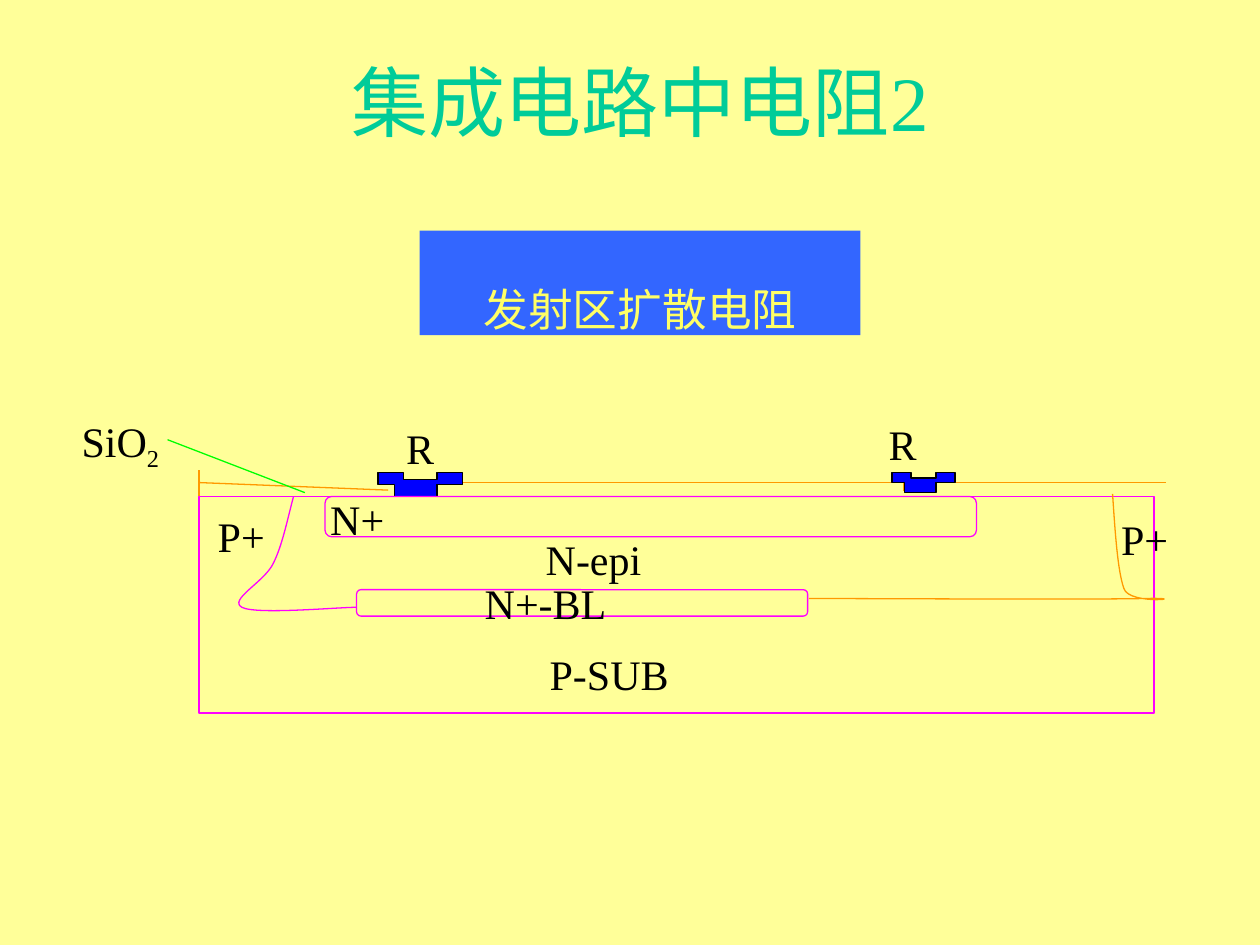
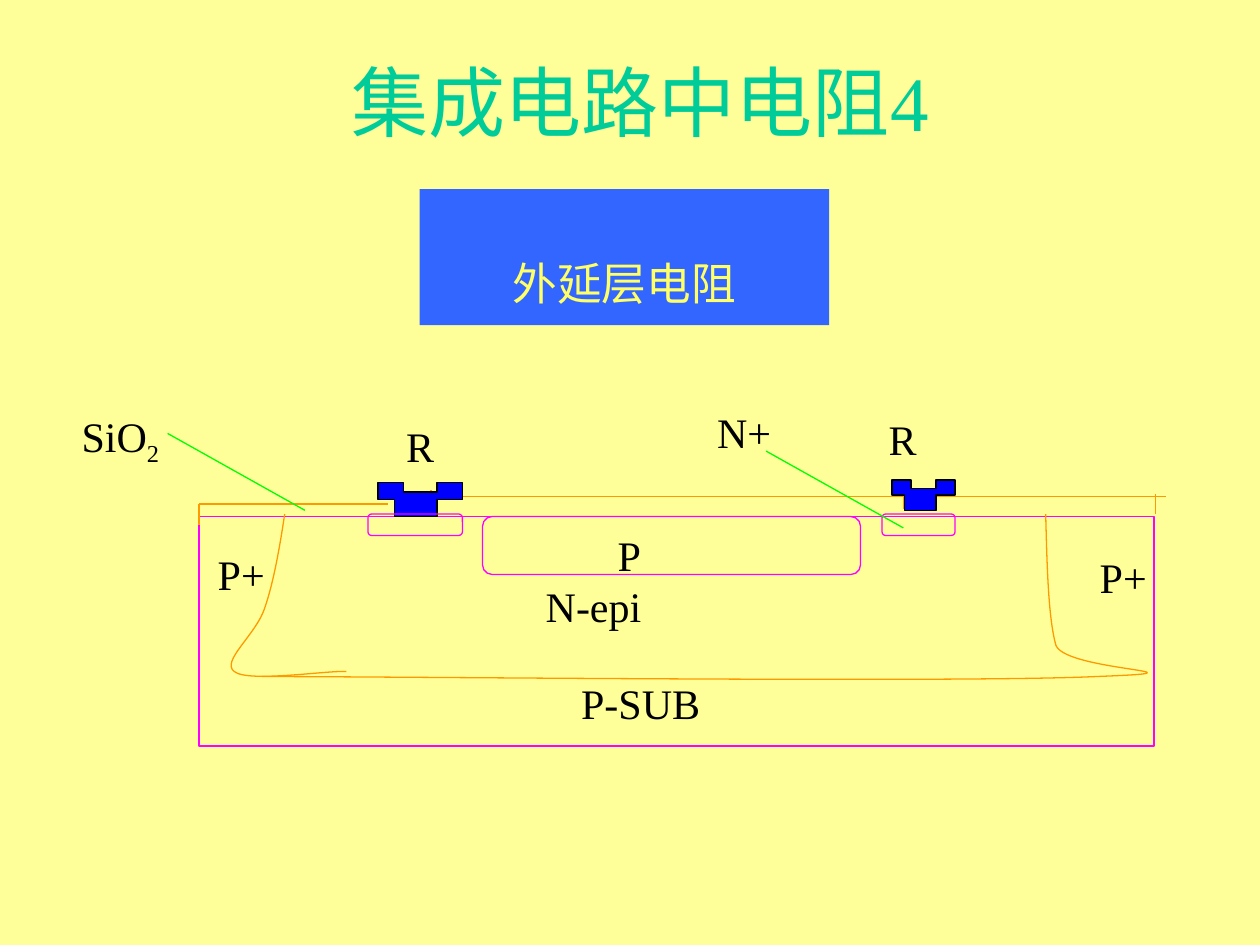
from dataclasses import dataclass

from lxml.etree import SubElement
from pptx import Presentation
from pptx.dml.color import RGBColor as RGB
from pptx.enum.shapes import MSO_CONNECTOR as Connector, MSO_SHAPE as Shape
from pptx.enum.text import MSO_ANCHOR as Anchor, PP_ALIGN as Align
from pptx.oxml.ns import qn
from pptx.util import Inches, Pt


@dataclass(frozen=True)
class Theme:
    font: str = "Times New Roman"
    heading_size: int = 44
    label_size: int = 24
    line_width: float = 0.75
    label_margin: float = 0.05
    background: RGB = RGB(0xFF, 0xFF, 0x99)
    title: RGB = RGB(0x00, 0xCC, 0x99)
    banner: RGB = RGB(0x33, 0x66, 0xFF)
    banner_text: RGB = RGB(0xFF, 0xFF, 0x66)
    label: RGB = RGB(0, 0, 0)
    silicon: RGB = RGB(0xFF, 0x00, 0xFF)
    oxide: RGB = RGB(0xFF, 0x99, 0x00)
    metal: RGB = RGB(0x00, 0x00, 0xFF)
    pointer: RGB = RGB(0x00, 0xFF, 0x00)


THEME = Theme()


@dataclass(frozen=True)
class Box:
    left: float
    top: float
    width: float
    height: float

    def inside(self, left, top, width, height):
        return Box(self.left + left, self.top + top, width, height)

    def widened(self, margin):
        return Box(self.left - margin, self.top, self.width + 2 * margin, self.height)

    def point(self, x, y):
        return Inches(self.left + x), Inches(self.top + y)

    def lengths(self):
        return [Inches(value) for value in (self.left, self.top, self.width, self.height)]


TITLE_BOX = Box(0.83, 0.17, 8.5, 1.25)


def style_line(shape, color):
    shape.line.color.rgb = color
    shape.line.width = Pt(THEME.line_width)


def add_run(paragraph, text, size, color, subscript=False):
    run = paragraph.add_run()
    run.text = text
    run.font.name = THEME.font
    run.font.size = Pt(size)
    run.font.color.rgb = color
    if subscript:
        run.font._element.set("baseline", "-25000")


def centred_paragraph(shape, wrap=False):
    frame = shape.text_frame
    frame.word_wrap = wrap
    frame.vertical_anchor = Anchor.MIDDLE
    paragraph = frame.paragraphs[0]
    paragraph.alignment = Align.CENTER
    return paragraph


def add_title(slide, box, text):
    title = slide.shapes.add_textbox(*box.lengths())
    add_run(centred_paragraph(title, wrap=True), text, THEME.heading_size, THEME.title)


def add_banner(slide, box, text):
    banner = slide.shapes.add_shape(Shape.RECTANGLE, *box.lengths())
    banner.shadow.inherit = False
    banner.fill.solid()
    banner.fill.fore_color.rgb = THEME.banner
    banner.line.fill.background()
    add_run(centred_paragraph(banner), text, THEME.heading_size, THEME.banner_text,
            subscript=True)


def add_label(slide, box, text):
    """Add a centred label; what follows an underscore is set as a subscript."""
    label = slide.shapes.add_textbox(*box.widened(THEME.label_margin).lengths())
    label.text_frame.margin_left = label.text_frame.margin_right = 0
    paragraph = centred_paragraph(label)
    base, _, subscript = text.partition("_")
    add_run(paragraph, base, THEME.label_size, THEME.label)
    if subscript:
        add_run(paragraph, subscript, THEME.label_size, THEME.label, subscript=True)


def add_region(slide, box, preset=Shape.ROUNDED_RECTANGLE):
    region = slide.shapes.add_shape(preset, *box.lengths())
    region.shadow.inherit = False
    region.fill.background()
    style_line(region, THEME.silicon)


def add_line(slide, box, start, end, color):
    line = slide.shapes.add_connector(Connector.STRAIGHT, *box.point(*start), *box.point(*end))
    style_line(line, color)
    SubElement(line._element.spPr, qn("a:effectLst"))


def add_outline(slide, box, points, color, close=False):
    start, *rest = [box.point(*point) for point in points]
    builder = slide.shapes.build_freeform(*start)
    builder.add_line_segments(rest, close=close)
    outline = builder.convert_to_shape()
    outline.shadow.inherit = False
    outline.fill.background()
    style_line(outline, color)
    return outline


def add_curve(slide, box, controls, color):
    """Add a chain of cubic curves by joining each three line segments into one curve."""
    outline = add_outline(slide, box, controls, color)
    segments = list(outline._element.iter(qn("a:lnTo")))
    for first in range(0, len(segments), 3):
        curve = SubElement(segments[first].getparent(), qn("a:cubicBezTo"))
        for segment in segments[first:first + 3]:
            curve.append(segment[0])
            segment.getparent().remove(segment)


def add_contact(slide, box):
    """Add a metal contact: a notched top bar on a narrower stem."""
    profile = [(0, 0.5), (0, 0), (0.3, 0), (0.3, 0.28), (0.7, 0.28), (0.7, 0), (1, 0),
               (1, 0.5), (0.7, 0.5), (0.7, 1), (0.2, 1), (0.2, 0.5)]
    points = [(x * box.width, y * box.height) for x, y in profile]
    contact = add_outline(slide, box, points, THEME.label, close=True)
    contact.fill.solid()
    contact.fill.fore_color.rgb = THEME.metal


@dataclass(frozen=True)
class Section:
    """A resistor cross-section; all places are relative to the chip's corner."""
    wells: list
    junctions: list
    oxide_level: float
    window_top: float
    right_window_bottom: float
    oxide_lines: list
    contacts: list
    pointers: list
    label_height: float
    labels: list


def add_oxide(slide, box, section):
    level, bottom = section.oxide_level, section.right_window_bottom
    windows = [((x, section.window_top), (x, 0)) for x in (1.59, 1.84)]
    windows += [((x, level), (x, bottom)) for x in (5.59, 5.84)]
    surface = [((left, level), (right, level)) for left, right in ((1.84, 5.59), (5.84, 7.67))]
    for start, end in windows + surface + section.oxide_lines:
        add_line(slide, box, start, end, THEME.oxide)


def add_section(slide, box, section):
    add_region(slide, box, Shape.RECTANGLE)
    add_oxide(slide, box, section)
    for contact in section.contacts:
        add_contact(slide, box.inside(*contact))
    for well in section.wells:
        add_region(slide, box.inside(*well))
    for color, controls in section.junctions:
        add_curve(slide, box, controls, color)
    for start, end in section.pointers:
        add_line(slide, box, start, end, THEME.pointer)
    for text, left, top, width in section.labels:
        add_label(slide, box.inside(left, top, width, section.label_height), text)


EMITTER_RESISTOR = Section(
    wells=[(1.25, 0.74, 3.58, 0.21), (1, 0, 5.17, 0.32)],
    junctions=[
        (THEME.silicon, [(0.75, 0), (0.7, 0.19), (0.66, 0.39), (0.59, 0.53), (0.52, 0.68),
                         (0.23, 0.82), (0.34, 0.88), (0.45, 0.94), (1.1, 0.88), (1.25, 0.88)]),
        (THEME.oxide, [(7.25, -0.02), (7.27, 0.28), (7.29, 0.59), (7.34, 0.73), (7.38, 0.87),
                       (7.92, 0.8), (7.5, 0.81), (7.09, 0.82), (5.28, 0.81), (4.84, 0.81)]),
    ],
    oxide_level=-0.11,
    window_top=-0.14,
    right_window_bottom=-0.04,
    oxide_lines=[((0, 0), (0, -0.21)), ((0, -0.11), (1.5, -0.05))],
    contacts=[(1.42, -0.19, 0.67, 0.19), (5.5, -0.19, 0.5, 0.16)],
    pointers=[((-0.25, -0.45), (0.84, -0.03))],
    label_height=0.21,
    labels=[("SiO_2", -1, -0.52, 0.75), ("R", 1.59, -0.49, 0.33), ("N+", 1.09, 0.07, 0.33),
            ("P+", 0.17, 0.21, 0.33), ("P-SUB", 2.42, 1.3, 1.67), ("R", 5.42, -0.52, 0.33),
            ("N+-BL", 2.25, 0.74, 1), ("N-epi", 2.59, 0.39, 1.08), ("P+", 7.34, 0.23, 0.33)],
)

EPITAXIAL_RESISTOR = Section(
    wells=[(2.25, 0, 3, 0.46), (1.34, -0.02, 0.75, 0.17), (5.42, -0.02, 0.58, 0.17)],
    junctions=[
        (THEME.oxide, [(0.68, -0.02), (0.64, 0.25), (0.59, 0.53), (0.52, 0.73), (0.45, 0.94),
                       (0.17, 1.15), (0.28, 1.23), (0.39, 1.32), (1.02, 1.22), (1.17, 1.23)]),
        (THEME.oxide, [(6.72, -0.02), (6.73, 0.39), (6.74, 0.8), (6.8, 1.02), (6.87, 1.23),
                       (8.17, 1.23), (7.12, 1.27), (6.07, 1.32), (1.61, 1.27), (0.5, 1.27)]),
    ],
    oxide_level=-0.16,
    window_top=-0.21,
    right_window_bottom=-0.06,
    oxide_lines=[((7.59, -0.02), (7.59, -0.18)), ((0, -0.1), (1.5, -0.1)),
                 ((0, 0.07), (0, -0.1))],
    contacts=[(1.42, -0.27, 0.67, 0.27), (5.5, -0.29, 0.5, 0.24)],
    pointers=[((-0.25, -0.66), (0.84, -0.05)), ((4.5, -0.52), (5.59, 0.09))],
    label_height=0.31,
    labels=[("SiO_2", -1, -0.77, 0.75), ("R", 1.59, -0.72, 0.33), ("P+", 0.17, 0.3, 0.33),
            ("P-SUB", 2.67, 1.32, 1.67), ("R", 5.42, -0.77, 0.33), ("N-epi", 2.59, 0.55, 1.08),
            ("P+", 7.17, 0.32, 0.33), ("P", 3.25, 0.15, 0.33), ("N+", 4.01, -0.83, 0.63)],
)


def add_resistor_slide(presentation, title, banner, banner_box, section, chip_box):
    slide = presentation.slides.add_slide(presentation.slide_layouts[6])
    slide.background.fill.solid()
    slide.background.fill.fore_color.rgb = THEME.background
    add_title(slide, TITLE_BOX, title)
    add_banner(slide, banner_box, banner)
    add_section(slide, chip_box, section)


def main():
    presentation = Presentation()
    presentation.slide_width = Inches(10)
    presentation.slide_height = Inches(7.5)
    add_resistor_slide(presentation, "集成电路中电阻2", "发射区扩散电阻",
                       Box(3.33, 1.83, 3.5, 0.83),
                       EMITTER_RESISTOR, Box(1.58, 3.94, 7.58, 1.72))
    add_resistor_slide(presentation, "集成电路中电阻4", "外延层电阻",
                       Box(3.33, 1.5, 3.25, 1.08),
                       EPITAXIAL_RESISTOR, Box(1.58, 4.1, 7.58, 1.82))
    presentation.save("out.pptx")


if __name__ == "__main__":
    main()
